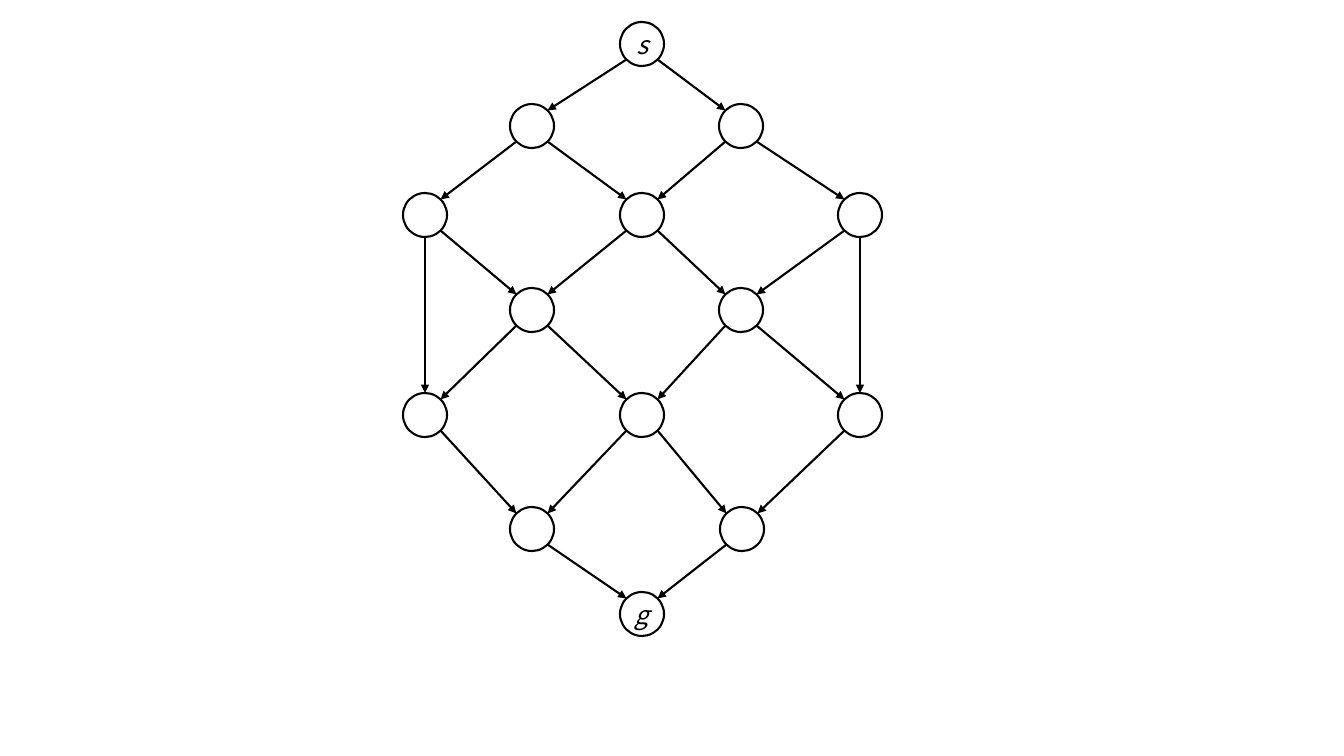
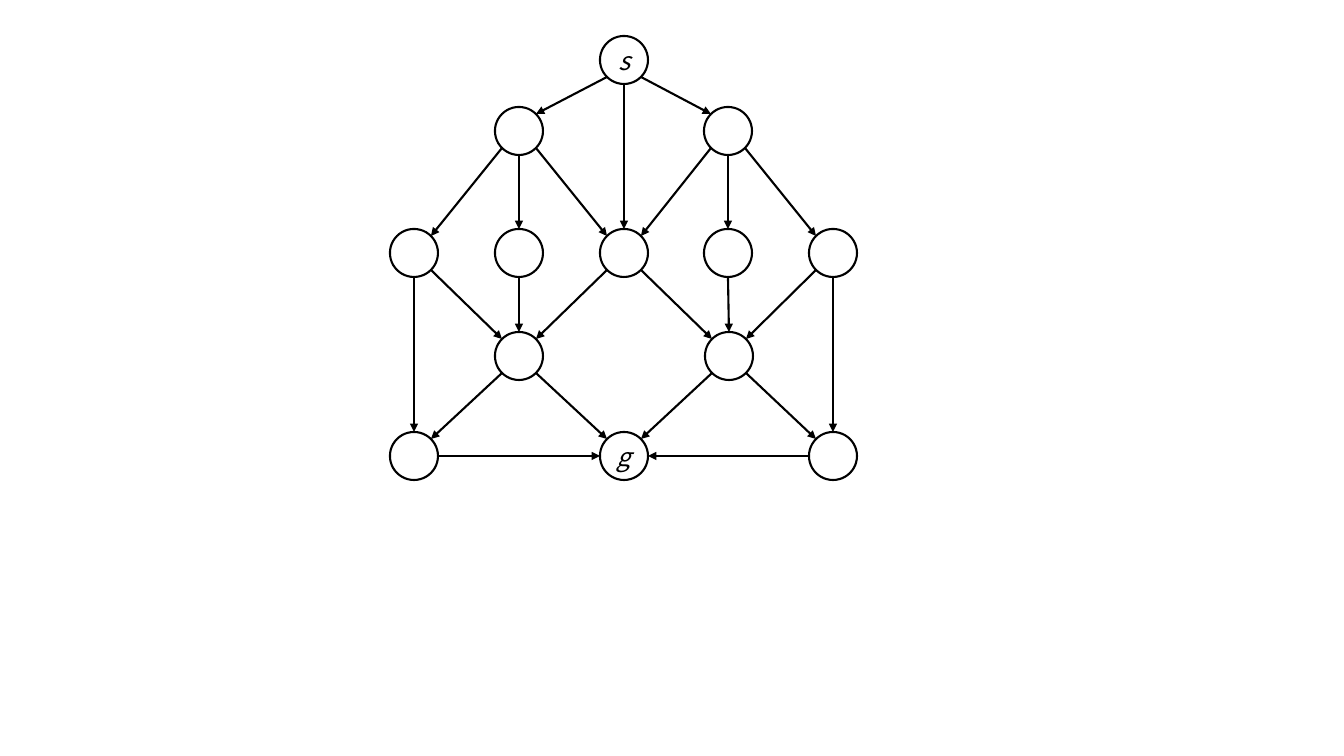
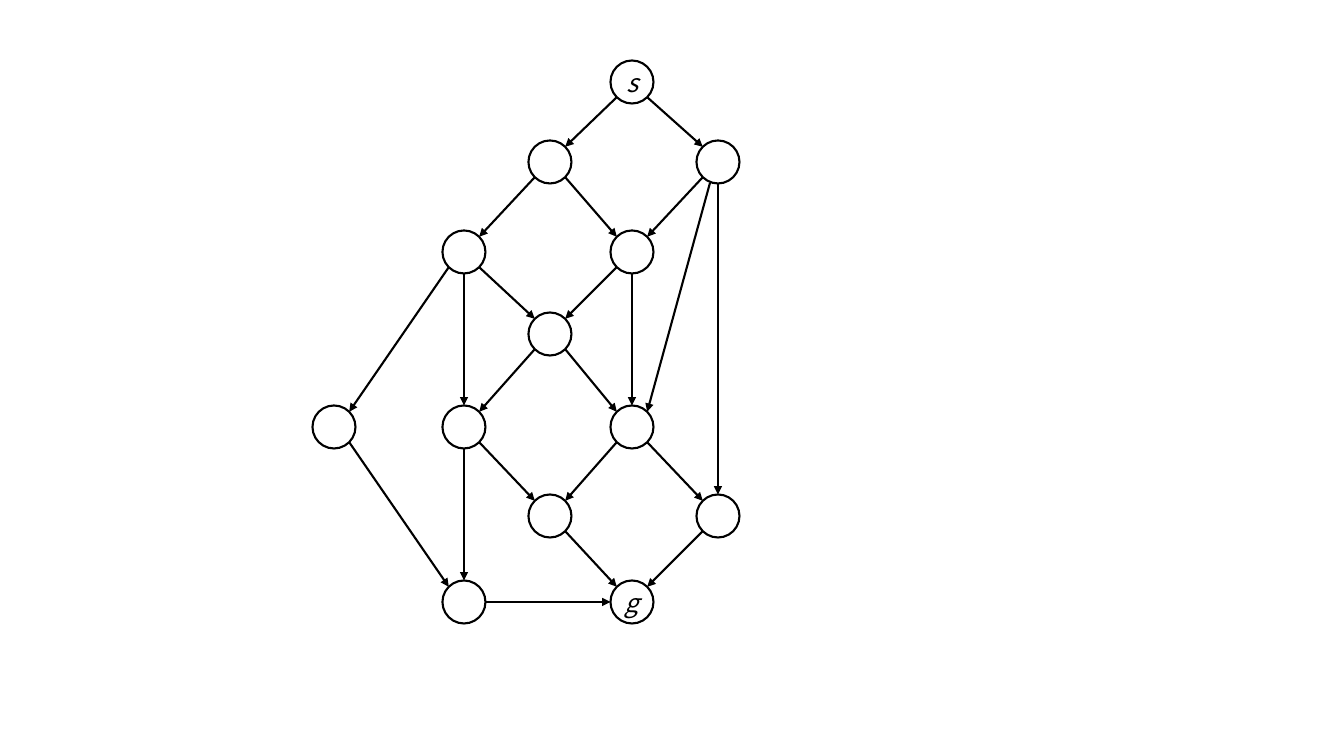
"""Build three slides of directed graphs that lead from start s to goal g."""
from math import sqrt

from lxml import etree
from pptx import Presentation
from pptx.dml.color import RGBColor
from pptx.enum.shapes import MSO_CONNECTOR, MSO_SHAPE
from pptx.enum.text import MSO_ANCHOR, PP_ALIGN
from pptx.oxml.ns import qn
from pptx.util import Pt

GRAPHS = [
    {
        "diameter": 44,
        "rows": [
            (44, {"s": 642}),
            (126, {"a1": 532, "a2": 741}),
            (215, {"b1": 425, "b2": 642, "b3": 860}),
            (310, {"c1": 532, "c2": 741}),
            (415, {"d1": 425, "d2": 642, "d3": 860}),
            (529, {"e1": 532, "e2": 742}),
            (614, {"g": 642}),
        ],
        "edges": {
            "s": "a1 a2",
            "a1": "b1 b2", "a2": "b2 b3",
            "b1": "c1 d1", "b2": "c1 c2", "b3": "c2 d3",
            "c1": "d1 d2", "c2": "d2 d3",
            "d1": "e1", "d2": "e1 e2", "d3": "e2",
            "e1": "g", "e2": "g",
        },
        "start_offsets": {},
    },
    {
        "diameter": 48,
        "rows": [
            (60, {"s": 624}),
            (131, {"a1": 519, "a2": 728}),
            (253, {"b1": 414, "b2": 519, "b3": 624, "b4": 728, "b5": 833}),
            (356, {"c1": 519, "c2": 729}),
            (456, {"d1": 414, "g": 624, "d2": 833}),
        ],
        "edges": {
            "s": "a1 a2 b3",
            "a1": "b1 b2 b3", "a2": "b3 b4 b5",
            "b1": "c1 d1", "b2": "c1", "b3": "c1 c2", "b4": "c2", "b5": "c2 d2",
            "c1": "d1 g", "c2": "g d2",
            "d1": "g", "d2": "g",
        },
        "start_offsets": {},
    },
    {
        "diameter": 43,
        "rows": [
            (82, {"s": 632}),
            (162, {"a1": 550, "a2": 718}),
            (252, {"b1": 464, "b2": 632}),
            (334, {"c1": 550}),
            (427, {"d1": 334, "d2": 464, "d3": 632}),
            (516, {"e1": 550, "e2": 718}),
            (602, {"f1": 464, "g": 632}),
        ],
        "edges": {
            "s": "a1 a2",
            "a1": "b1 b2", "a2": "b2 d3 e2",
            "b1": "c1 d1 d2", "b2": "c1 d3",
            "c1": "d2 d3",
            "d1": "f1", "d2": "e1 f1", "d3": "e1 e2",
            "e1": "g", "e2": "g",
            "f1": "g",
        },
        "start_offsets": {("a2", "d3"): (-8, 21)},
    },
]
LABELLED = ("s", "g")

BLACK = RGBColor(0, 0, 0)
LINE_WIDTH = Pt(1.5)
LABEL_FORMAT = {"name": "Noto Sans CJK JP", "size": Pt(18), "italic": True}
FRAME_FORMAT = {"margin_left": 0, "margin_right": 0, "margin_top": 0, "margin_bottom": 0,
                "vertical_anchor": MSO_ANCHOR.MIDDLE, "word_wrap": False}
OVAL = MSO_SHAPE.OVAL
STRAIGHT = MSO_CONNECTOR.STRAIGHT
CENTER = PP_ALIGN.CENTER

SLIDE_SIZE = (1344, 756)
EMU_PER_PX = 12192000 / SLIDE_SIZE[0]
ALIGNED_WITHIN = 3
SITES = {(0, -1): 0, (-1, -1): 1, (-1, 0): 2, (-1, 1): 3,
         (0, 1): 4, (1, 1): 5, (1, 0): 6, (1, -1): 7}


def emu(px):
    return round(px * EMU_PER_PX)


def set_values(target, values):
    for attribute, value in values.items():
        setattr(target, attribute, value)


def draw_outline(line):
    line.color.rgb = BLACK
    line.width = LINE_WIDTH


def add_node(slide, name, center, diameter):
    left, top = (emu(c - diameter / 2) for c in center)
    node = slide.shapes.add_shape(OVAL, left, top, emu(diameter), emu(diameter))
    node.shadow.inherit = False
    node.fill.background()
    draw_outline(node.line)
    if name in LABELLED:
        set_values(node.text_frame, FRAME_FORMAT)
        paragraph = node.text_frame.paragraphs[0]
        paragraph.alignment = CENTER
        label = paragraph.add_run()
        label.text = name
        set_values(label.font, LABEL_FORMAT)
        label.font.color.rgb = BLACK
    return node


def sign(distance):
    return 0 if abs(distance) <= ALIGNED_WITHIN else (1 if distance > 0 else -1)


def rim_offset(direction, diameter):
    reach = diameter / 2 / sqrt(sum(abs(d) for d in direction))
    return tuple(d * reach for d in direction)


def add_edge(slide, start, end, diameter, nodes, start_offset):
    (start_node, start_center), (end_node, end_center) = nodes[start], nodes[end]
    leaving = tuple(sign(b - a) for a, b in zip(start_center, end_center))
    entering = tuple(-d for d in leaving)
    offsets = (start_offset or rim_offset(leaving, diameter), rim_offset(entering, diameter))
    if start_offset:
        entering = (1, -1)
        offsets = (start_offset, rim_offset(entering, diameter))
    points = [emu(c + o) for center, offset in zip((start_center, end_center), offsets)
              for c, o in zip(center, offset)]
    edge = slide.shapes.add_connector(STRAIGHT, *points)
    draw_outline(edge.line)
    properties = edge._element.spPr
    etree.SubElement(properties.find(qn("a:ln")), qn("a:tailEnd"), type="triangle")
    etree.SubElement(properties, qn("a:effectLst"))
    glue = edge._element.find(".//" + qn("p:cNvCxnSpPr"))
    ends = [("a:endCxn", end_node, entering)]
    if not start_offset:
        ends.insert(0, ("a:stCxn", start_node, leaving))
    for tag, node, direction in ends:
        etree.SubElement(glue, qn(tag), id=str(node.shape_id), idx=str(SITES[direction]))


def add_graph(slide, diameter, rows, edges, start_offsets):
    nodes = {}
    for y, row in rows:
        for name, x in row.items():
            nodes[name] = (add_node(slide, name, (x, y), diameter), (x, y))
    for start, ends in edges.items():
        for end in ends.split():
            add_edge(slide, start, end, diameter, nodes, start_offsets.get((start, end)))


deck = Presentation()
deck.slide_width, deck.slide_height = map(emu, SLIDE_SIZE)
blank_layout = deck.slide_layouts[6]
for graph in GRAPHS:
    add_graph(deck.slides.add_slide(blank_layout), **graph)
deck.save("out.pptx")
